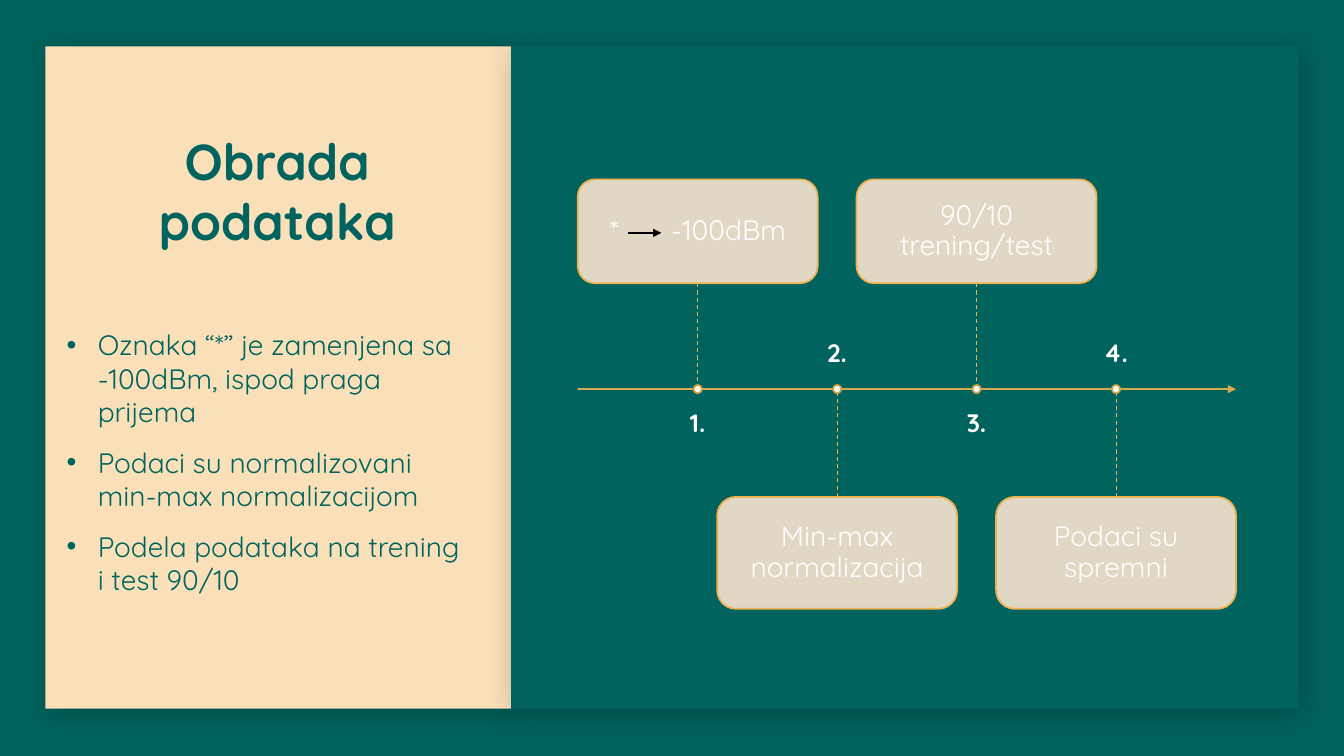
from pptx import Presentation
from pptx.dml.color import RGBColor
from pptx.enum.dml import MSO_LINE
from pptx.enum.shapes import MSO_CONNECTOR, MSO_SHAPE
from pptx.enum.text import MSO_ANCHOR, MSO_AUTO_SIZE, PP_ALIGN
from pptx.oxml import parse_xml
from pptx.oxml.ns import nsdecls, qn
from pptx.util import Inches, Pt

RECT, ROUND, OVAL = MSO_SHAPE.RECTANGLE, MSO_SHAPE.ROUNDED_RECTANGLE, MSO_SHAPE.OVAL
STRAIGHT, DASH = MSO_CONNECTOR.STRAIGHT, MSO_LINE.DASH
TOP, MIDDLE, BOTTOM = MSO_ANCHOR.TOP, MSO_ANCHOR.MIDDLE, MSO_ANCHOR.BOTTOM
LEFT, CENTER = PP_ALIGN.LEFT, PP_ALIGN.CENTER
FIXED = MSO_AUTO_SIZE.NONE

TEAL = RGBColor(0x00, 0x63, 0x5D)
SAND = RGBColor(0xF9, 0xE0, 0xB9)
CREAM = RGBColor(0xF9, 0xE4, 0xD0)
GOLD = RGBColor(0xEF, 0xB2, 0x51)
OCHRE = RGBColor(0xD9, 0xA2, 0x4A)
WHITE = RGBColor(0xFF, 0xFF, 0xFF)
BLACK = RGBColor(0x00, 0x00, 0x00)
FONT = "Quicksand"

AXIS = 3.86
FIRST, STEP = 6.92, 1.383
BOX_W, LABEL_W, LABEL_H, DOT = 2.38, 2.1, 0.64, 0.08
STEPS = ["*\t-100dBm", "Min-max normalizacija", "90/10 trening/test",
         "Podaci su spremni"]
POINTS = ["Oznaka “*” je zamenjena sa -100dBm, ispod praga prijema",
          "Podaci su normalizovani min-max normalizacijom",
          "Podela podataka na trening i test 90/10"]


def node(text):
    tag, rest = text.split(" ", 1)
    return parse_xml(f"<a:{tag} {nsdecls('a')} {rest}")


def fade(props):
    """Make the solid colour inside props 90 % opaque."""
    props.find(".//" + qn("a:srgbClr")).append(node('alpha val="90000"/>'))


class Deck:
    def __init__(self):
        self.prs = Presentation()
        self.prs.slide_width = Inches(13.33)
        self.prs.slide_height = Inches(7.5)
        self.slide = self.prs.slides.add_slide(self.prs.slide_layouts[1])
        self.shapes = self.slide.shapes
        fill = self.slide.background.fill
        fill.solid()
        fill.fore_color.rgb = TEAL

    def place(self, shape, x, y, w, h):
        shape.left, shape.top = Inches(x), Inches(y)
        shape.width, shape.height = Inches(w), Inches(h)
        self.shapes._spTree.append(shape._element)  # bring to front

    def frame(self, shape, anchor, pads):
        frame = shape.text_frame
        frame.word_wrap, frame.auto_size = True, FIXED
        frame.vertical_anchor = anchor
        (frame.margin_left, frame.margin_top,
         frame.margin_right, frame.margin_bottom) = map(Inches, pads)
        return frame

    def style(self, para, size, color, bold=False, align=CENTER, space=1.0):
        para.alignment, para.line_spacing = align, space
        para.space_before = Pt(0)
        for run in para.runs:
            font = run.font
            font.name, font.size, font.bold = FONT, Pt(size), bold
            font.color.rgb = color

    def shape(self, kind, x, y, w, h, fill, line=None):
        shape = self.shapes.add_shape(kind, Inches(x), Inches(y), Inches(w), Inches(h))
        shape.shadow.inherit = False
        shape.fill.solid()
        shape.fill.fore_color.rgb = fill
        if line is None:
            shape.line.fill.background()
        else:
            shape.line.color.rgb = line
            shape.line.width = Pt(1.25)
        return shape

    def panel(self, x, w, fill):
        """Add a background panel with a soft shadow."""
        panel = self.shape(RECT, x, 0.46, w, 6.57, fill)
        panel._element.spPr.find(qn("a:effectLst")).append(node(
            f'outerShdw blurRad="{Pt(20)}" dist="{Pt(4)}" dir="2700000" algn="tl" '
            'rotWithShape="0"><a:srgbClr val="000000"><a:alpha val="25000"/>'
            '</a:srgbClr></a:outerShdw>'))

    def title(self, text):
        title = self.shapes.title
        self.place(title, 0.56, 0.69, 4.38, 2.4)
        frame = self.frame(title, MIDDLE, (0.1, 0.05, 0.1, 0.05))
        frame.text = text
        self.style(frame.paragraphs[0], 36, TEAL, True)

    def points(self, items):
        body = self.slide.placeholders[1]
        self.place(body, 0.56, 3.2, 4.38, 3.68)
        frame = self.frame(body, TOP, (0.1, 0.05, 0.3, 0.05))
        frame.text = "\n".join(items)
        for para in frame.paragraphs:
            props = para._p.get_or_add_pPr()
            props.set("marL", str(Inches(0.31)))
            props.set("indent", str(Inches(-0.31)))
            props.append(node(f'buClr ><a:srgbClr val="{TEAL}"/></a:buClr>'))
            props.append(node('buFont typeface="Arial"/>'))
            props.append(node('buChar char="•"/>'))
            self.style(para, 20, TEAL, align=LEFT)
            para.space_after = Pt(12)

    def line(self, x, y, x2, y2, color, width, dash=None, arrow=False):
        line = self.shapes.add_connector(
            STRAIGHT, Inches(x), Inches(y), Inches(x2), Inches(y2))
        line.line.color.rgb, line.line.width = color, Pt(width)
        if dash:
            line.line.dash_style = dash
        props = line._element.spPr
        if arrow:
            props.find(qn("a:ln")).append(node('tailEnd type="triangle"/>'))
        props.append(node("effectLst />"))
        return line

    def box(self, mid, y, h, text):
        box = self.shape(ROUND, mid - BOX_W / 2, y, BOX_W, h, CREAM, GOLD)
        fade(box._element.spPr.find(qn("a:solidFill")))
        tab = "\t" in text
        frame = self.frame(box, MIDDLE, (0.27 if tab else 0.19, 0.19, 0.19, 0.19))
        frame.text = text
        para = frame.paragraphs[0]
        if tab:
            para._p.get_or_add_pPr().append(node(
                f'tabLst ><a:tab pos="{Inches(0.61)}" algn="l"/></a:tabLst>'))
        self.style(para, 20, WHITE, align=LEFT if tab else CENTER, space=0.9)
        return box

    def label(self, mid, y, anchor, text):
        label = self.shapes.add_textbox(
            Inches(mid - LABEL_W / 2), Inches(y), Inches(LABEL_W), Inches(LABEL_H))
        frame = self.frame(label, anchor, (0, 0, 0, 0))
        frame.text = text
        self.style(frame.paragraphs[0], 18, WHITE, True, space=0.9)

    def step(self, num, text):
        """Add a timeline step: odd boxes above the axis, even ones below."""
        mid = FIRST + STEP * (num - 1)
        if num % 2:
            y, h, side, low, anchor = 1.78, 1.03, 2, 4.07, TOP
        else:
            y, h, side, low, anchor = 4.93, 1.11, 0, 3.01, BOTTOM
        self.label(mid, low, anchor, f"{num}.")
        box = self.box(mid, y, h, text)
        stem = self.line(mid, y, mid, AXIS, GOLD, 0.75, DASH)
        stem.begin_connect(box, side)
        self.shape(OVAL, mid - DOT / 2, AXIS - DOT / 2, DOT, DOT, WHITE, OCHRE)


def main():
    deck = Deck()
    deck.panel(0.45, 4.62, SAND)
    deck.panel(5.07, 7.81, TEAL)
    deck.title("Obrada podataka")
    deck.points(POINTS)
    axis = deck.line(5.73, AXIS, 12.26, AXIS, GOLD, 1.25, arrow=True)
    fade(axis._element.spPr.find(qn("a:ln")))
    for num, text in enumerate(STEPS, 1):
        deck.step(num, text)
    deck.line(6.23, 2.31, 6.56, 2.31, BLACK, 1.5, arrow=True)
    deck.prs.save("out.pptx")


if __name__ == "__main__":
    main()
